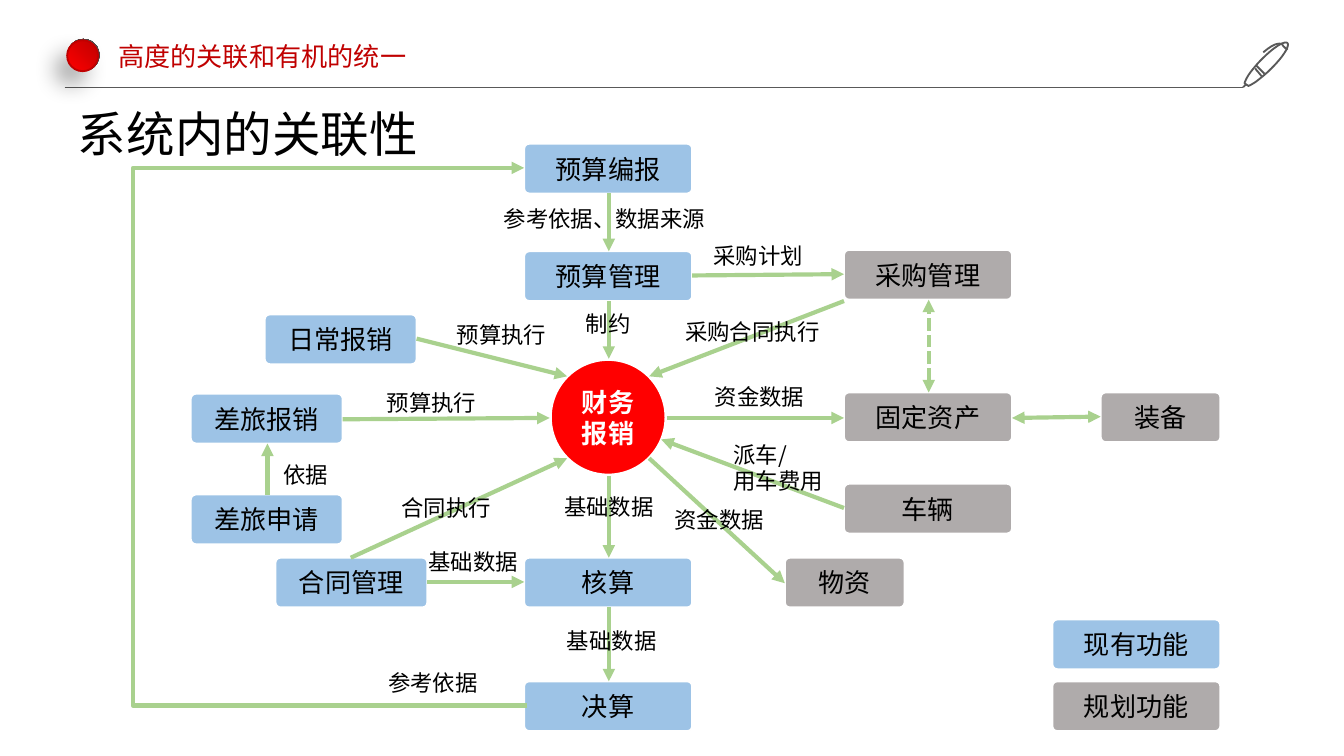
import pptx
import pptx.dml.color
import pptx.enum.dml
import pptx.enum.shapes
import pptx.enum.text
import pptx.oxml
import pptx.oxml.ns
import pptx.util
from lxml import etree
from pptx.util import Inches

FONT = "Noto Sans CJK SC"
BLUE, GRAY, GREEN, DARK = "9DC3E6", "AFABAB", "A9D18E", "595959"
SHAPES = pptx.enum.shapes.MSO_SHAPE
CONNECTORS = pptx.enum.shapes.MSO_CONNECTOR
ALIGN = pptx.enum.text.PP_ALIGN
ANCHOR = pptx.enum.text.MSO_ANCHOR
qn = pptx.oxml.ns.qn


def color(hex_value):
    """Turn a hex string into a colour."""
    return pptx.dml.color.RGBColor.from_string(hex_value)


def write_text(shape, lines, size, hex_value="000000", bold=False, align=ALIGN.LEFT, anchor=ANCHOR.TOP):
    """Fill a shape with one formatted paragraph per line."""
    frame = shape.text_frame
    frame.word_wrap = True
    frame.vertical_anchor = anchor
    for index, line in enumerate(lines):
        paragraph = frame.add_paragraph() if index else frame.paragraphs[0]
        paragraph.alignment = align
        run = paragraph.add_run()
        run.text = line
        run.font.size = pptx.util.Pt(size)
        run.font.bold = bold
        run.font.color.rgb = color(hex_value)
        run.font.name = FONT
        etree.SubElement(run.font._element, qn("a:ea")).set("typeface", FONT)


presentation = pptx.Presentation()
presentation.slide_width = Inches(10)
presentation.slide_height = Inches(10) * 9 // 16
slide = presentation.slides.add_slide(presentation.slide_layouts[5])
shapes = slide.shapes

title = shapes.title
title.left, title.top, title.width, title.height = Inches(0.48), Inches(0.72), Inches(2.93), Inches(0.54)
write_text(title, ["系统内的关联性"], 26)
title.text_frame.auto_size = pptx.enum.text.MSO_AUTO_SIZE.NONE

# Nodes: text, left, top, width, fill
WIDE, MEDIUM, NARROW = 1.25, 1.13, 0.89
nodes = [
    ("预算编报", 3.9, 1.07, WIDE, BLUE),
    ("预算管理", 3.9, 1.87, WIDE, BLUE),
    ("核算", 3.9, 4.15, WIDE, BLUE),
    ("决算", 3.9, 5.07, WIDE, BLUE),
    ("日常报销", 1.97, 2.34, MEDIUM, BLUE),
    ("差旅报销", 1.42, 2.93, MEDIUM, BLUE),
    ("差旅申请", 1.42, 3.68, MEDIUM, BLUE),
    ("合同管理", 2.05, 4.15, MEDIUM, BLUE),
    ("采购管理", 6.28, 1.86, WIDE, GRAY),
    ("固定资产", 6.28, 2.92, WIDE, GRAY),
    ("车辆", 6.28, 3.6, WIDE, GRAY),
    ("物资", 5.84, 4.15, NARROW, GRAY),
    ("装备", 8.19, 2.92, NARROW, GRAY),
    ("现有功能", 7.83, 4.61, WIDE, BLUE),
    ("规划功能", 7.83, 5.07, WIDE, GRAY),
]
for text, left, top, width, fill in nodes:
    node = shapes.add_shape(SHAPES.ROUNDED_RECTANGLE, Inches(left), Inches(top), Inches(width), Inches(0.37))
    node.adjustments[0] = 0.1
    node.shadow.inherit = False
    node.fill.solid()
    node.fill.fore_color.rgb = color(fill)
    node.line.color.rgb = color("FFFFFF")
    node.line.width = pptx.util.Pt(1)
    write_text(node, [text], 14, align=ALIGN.CENTER, anchor=ANCHOR.MIDDLE)

hub = shapes.add_shape(SHAPES.OVAL, Inches(4.09), Inches(2.67), Inches(0.87), Inches(0.87))
hub.shadow.inherit = False
hub.fill.solid()
hub.fill.fore_color.rgb = color("FF0000")
hub.line.color.rgb = color("FFFFFF")
hub.line.width = pptx.util.Pt(2.25)
write_text(hub, ["财务报销"], 14, "FFFFFF", True, ALIGN.CENTER, ANCHOR.MIDDLE)

# Lines: start, end, style
lines = [
    ((4.53, 1.44), (4.53, 1.87), "arrow"),
    ((4.53, 2.24), (4.53, 2.67), "arrow"),
    ((4.53, 3.54), (4.53, 4.15), "arrow"),
    ((4.53, 4.52), (4.53, 5.07), "arrow"),
    ((3.18, 4.33), (3.9, 4.33), "arrow"),
    ((5.15, 2.05), (6.28, 2.04), "arrow"),
    ((6.28, 2.24), (4.83, 2.8), "arrow"),
    ((4.96, 3.11), (6.28, 3.11), "arrow"),
    ((4.83, 3.41), (5.84, 4.34), "arrow"),
    ((6.28, 3.78), (4.92, 3.27), "arrow"),
    ((2.61, 4.15), (4.22, 3.41), "arrow"),
    ((3.1, 2.52), (4.22, 2.8), "arrow"),
    ((2.55, 3.12), (4.09, 3.11), "arrow"),
    ((1.99, 3.68), (1.99, 3.3), "arrow"),
    ((8.19, 3.1), (7.53, 3.11), "double"),
    ((6.91, 2.92), (6.91, 2.23), "dashed double"),
    ((3.92, 5.25), (3.9, 1.25), "elbow"),
    ((0.48, 0.65), (9.25, 0.65), "rule"),
]
for start, end, style in lines:
    kind = CONNECTORS.ELBOW if style == "elbow" else CONNECTORS.STRAIGHT
    connector = shapes.add_connector(kind, *(Inches(value) for value in start + end))
    connector.line.color.rgb = color(DARK if style == "rule" else GREEN)
    connector.line.width = pptx.util.Pt(0.5 if style == "rule" else 2.25)
    if "dashed" in style:
        connector.line.dash_style = pptx.enum.dml.MSO_LINE.SQUARE_DOT
    line_element = connector.line._get_or_add_ln()
    if "double" in style:
        etree.SubElement(line_element, qn("a:headEnd")).set("type", "triangle")
    if style != "rule":
        etree.SubElement(line_element, qn("a:tailEnd")).set("type", "triangle")
    properties = connector._element.spPr
    etree.SubElement(properties, qn("a:effectLst"))
    if style == "elbow":
        # The bend lies at x = 1, as a share of the connector's width
        bend = round((start[0] - 1) / (start[0] - end[0]) * 100000)
        guides = properties.find(qn("a:prstGeom")).get_or_add_avLst()
        guide = etree.SubElement(guides, qn("a:gd"))
        guide.set("name", "adj1")
        guide.set("fmla", f"val {bend}")

# Labels: lines, left, top, width
labels = [
    (["参考依据、数据来源"], 3.65, 1.48, 1.76),
    (["采购计划"], 5.21, 1.75, 0.93),
    (["制约"], 4.26, 2.26, 0.61),
    (["采购合同执行"], 5, 2.32, 1.33),
    (["预算执行"], 3.3, 2.34, 0.93),
    (["预算执行"], 2.78, 2.85, 0.93),
    (["资金数据"], 5.22, 2.8, 0.93),
    (["派车/", "用车费用"], 5.36, 3.23, 0.93),
    (["依据"], 2.01, 3.38, 0.61),
    (["合同执行"], 2.89, 3.63, 0.93),
    (["基础数据"], 4.1, 3.62, 0.93),
    (["资金数据"], 4.92, 3.72, 0.93),
    (["基础数据"], 3.09, 4.03, 0.93),
    (["基础数据"], 4.12, 4.62, 0.93),
    (["参考依据"], 2.79, 4.93, 0.93),
]
for text_lines, left, top, width in labels:
    height = 0.3 + 0.21 * (len(text_lines) - 1)
    label = shapes.add_textbox(Inches(left), Inches(top), Inches(width), Inches(height))
    write_text(label, text_lines, 12)

header = shapes.add_textbox(Inches(0.81), Inches(0.26), Inches(2.31), Inches(0.31))
header.text_frame.margin_left = header.text_frame.margin_right = Inches(0.07)
header.text_frame.margin_top = header.text_frame.margin_bottom = Inches(0.04)
write_text(header, ["高度的关联和有机的统一"], 14, "C00000")

# Header bullet: a shaded disc with a red one on top
for top, size, stops in ((0.29, 0.24, (DARK, "262626")), (0.3, 0.23, ("C00000", "FF0000"))):
    disc = shapes.add_shape(SHAPES.OVAL, Inches(0.5), Inches(top), Inches(size), Inches(size))
    disc.shadow.inherit = False
    disc.fill.gradient()
    for stop, hex_value in zip(disc.fill.gradient_stops, stops):
        stop.color.rgb = color(hex_value)
    gradient = disc._element.spPr.find(qn("a:gradFill"))
    gradient.remove(gradient.find(qn("a:lin")))
    circle = etree.SubElement(gradient, qn("a:path"))
    circle.set("path", "circle")
    focus = etree.SubElement(circle, qn("a:fillToRect"))
    focus.set("l", "100000")
    focus.set("b", "100000")
    if stops[0] == DARK:
        disc.line.fill.background()
        effects = disc._element.spPr.find(qn("a:effectLst"))
        shadow = etree.SubElement(effects, qn("a:outerShdw"), blurRad="152400", dist="127000", dir="7800000")
        shade = etree.SubElement(shadow, qn("a:srgbClr"), val="000000")
        etree.SubElement(shade, qn("a:alpha"), val="32000")
    else:
        disc.line.color.rgb = color("C00000")
        disc.line.width = pptx.util.Pt(1)

# Pen: each stroke is a start and Bezier pieces of two controls and an end
pen_strokes = [
    ((9.39, 0.57), [((9.34, 0.51),) * 3]),
    ((9.35, 0.49), [((9.41, 0.55),) * 3]),
    ((9.27, 0.63), [((9.25, 0.65),) * 3]),
    ((9.58, 0.37), [((9.58, 0.37), (9.55, 0.35), (9.54, 0.33)), ((9.54, 0.33), (9.5, 0.3), (9.4, 0.39))]),
    ((9.58, 0.32), [((9.56, 0.3), (9.48, 0.35), (9.39, 0.44)), ((9.32, 0.51), (9.27, 0.58), (9.26, 0.62)),
                    ((9.29, 0.64),) * 3, ((9.32, 0.63), (9.39, 0.58), (9.46, 0.51)),
                    ((9.55, 0.42), (9.6, 0.34), (9.58, 0.32))]),
]
UNITS = 1000  # freeform units per inch, as the builder rounds to whole units
builder = shapes.build_freeform(9.39 * UNITS, 0.57 * UNITS, scale=Inches(1) / UNITS)
for index, (start, pieces) in enumerate(pen_strokes):
    if index:
        builder.move_to(start[0] * UNITS, start[1] * UNITS)
    points, current = [], start
    for first, second, end in pieces:
        for step in range(1, 9):
            t = step / 8
            points.append([UNITS * ((1 - t) ** 3 * a + 3 * (1 - t) ** 2 * t * b + 3 * (1 - t) * t ** 2 * c + t ** 3 * d)
                           for a, b, c, d in zip(current, first, second, end)])
        current = end
    builder.add_line_segments(points, close=current == start)
pen = builder.convert_to_shape()
pen.shadow.inherit = False
pen.fill.background()
pen.line.color.rgb = color(DARK)
pen.line.width = pptx.util.Pt(1)

presentation.save("out.pptx")
